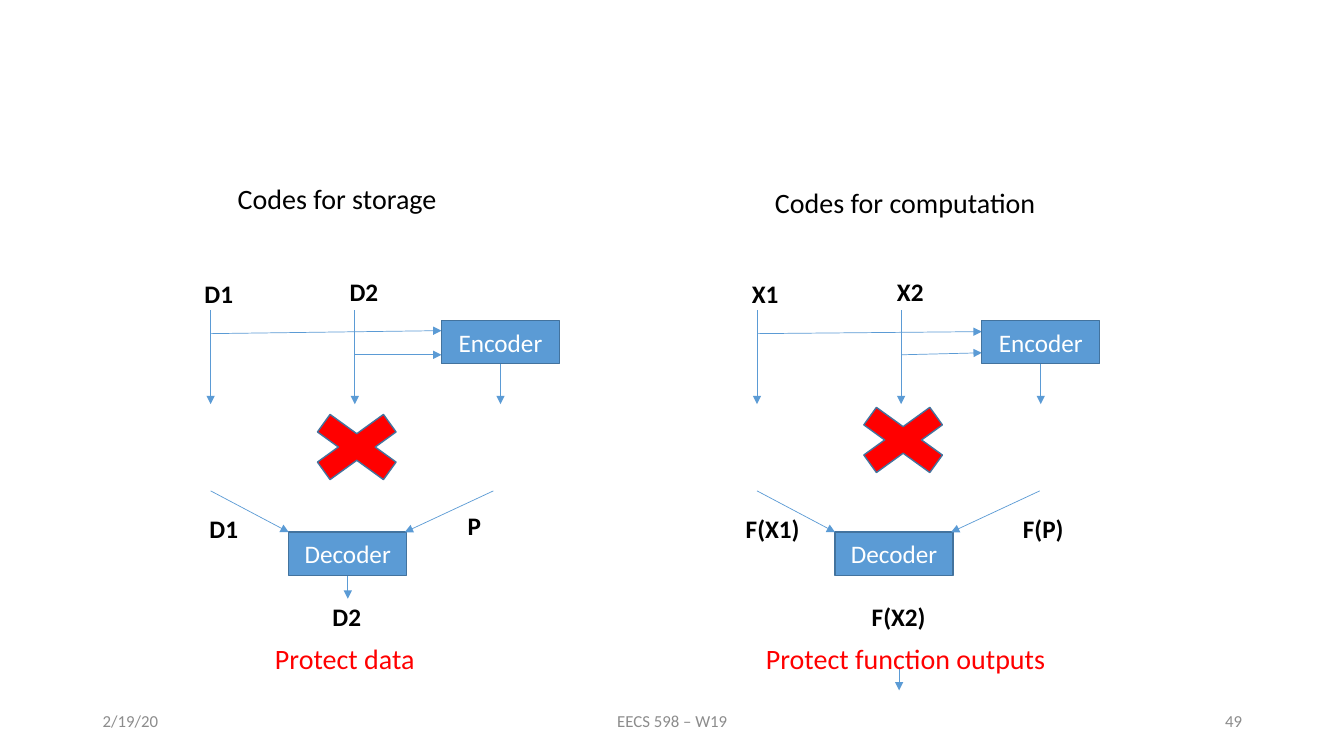
from dataclasses import dataclass

from lxml import etree
from pptx import Presentation
from pptx.dml.color import RGBColor
from pptx.enum.shapes import MSO_CONNECTOR, MSO_SHAPE
from pptx.enum.text import MSO_ANCHOR, PP_ALIGN
from pptx.oxml.ns import qn
from pptx.util import Inches, Pt

RECTANGLE, CROSS = MSO_SHAPE.RECTANGLE, MSO_SHAPE.MATH_MULTIPLY
STRAIGHT = MSO_CONNECTOR.STRAIGHT
TOP, MIDDLE = MSO_ANCHOR.TOP, MSO_ANCHOR.MIDDLE
LEFT, CENTER, RIGHT = PP_ALIGN.LEFT, PP_ALIGN.CENTER, PP_ALIGN.RIGHT

BLACK = RGBColor(0x00, 0x00, 0x00)
WHITE = RGBColor(0xFF, 0xFF, 0xFF)
RED = RGBColor(0xFF, 0x00, 0x00)
BLUE = RGBColor(0x5B, 0x9B, 0xD5)
DARK_BLUE = RGBColor(0x43, 0x73, 0x9E)
GRAY = RGBColor(0x8C, 0x8C, 0x8C)
FONT = "Calibri"

# The grid: square cells, ten to the inch
CELL = Inches(0.1)
COLUMNS, ROWS = 133.33, 75

# Rows and sizes shared by both diagrams
INPUT_ROW, OUTPUT_ROW = 30.8, 40.1
ENCODER_ROW, DECODER_ROW = 31.8, 52.8
BLOCK_WIDTH, BLOCK_HEIGHT = 11.7, 4.3
DECODER_COLUMN = 7.75
SECOND_INPUT = 14.3
FAN_IN_ROW, PARITY_COLUMN = 48.7, 28.05


@dataclass
class Diagram:
    """Columns count from the first input; pairs are (column, row)."""
    origin: float
    heading: str
    heading_at: tuple
    caption: str
    caption_column: float
    labels: dict
    encoder_column: float
    encoder_taps: tuple  # (column, start row, end row) of each input line
    cross_row: float
    result_arrow: tuple


STORAGE = Diagram(
    20.9, "Codes for storage", (1.7, 16), "Protect data", 5.4,
    {(-1.6, 27.1): "D1", (12.8, 26.9): "D2", (-1.1, 50.4): "D1",
     (24.5, 50.1): "P", (11.1, 59.2): "D2"},
    22.9, ((0, 33.1, 32.8), (SECOND_INPUT, 35.2, 35.2)), 39.8, (13.6, 57.1))
COMPUTATION = Diagram(
    75.1, "Codes for computation", (0.8, 16.4),
    "Protect function outputs", -0.1,
    {(-1.5, 27.1): "X1", (12.9, 26.9): "X2", (-2.1, 50.4): "F(X1)",
     (25.4, 50.4): "F(P)", (10.4, 59.2): "F(X2)"},
    22.3, ((0, 33.1, 32.9), (SECOND_INPUT, 35.2, 35)), 39.1, (14.1, 66.2))


def cells(*counts):
    return [round(count * CELL) for count in counts]


def write(frame, text, size, color, align, anchor, bold=False):
    frame.word_wrap = True
    frame.vertical_anchor = anchor
    para = frame.paragraphs[0]
    para.text = text
    para.alignment = align
    font = para.font
    font.name, font.size, font.bold = FONT, Pt(size), bold
    font.color.rgb = color
    return para


def add_text(page, area, text, size, color, align=LEFT, anchor=MIDDLE, bold=False):
    box = page.shapes.add_textbox(*cells(*area))
    return write(box.text_frame, text, size, color, align, anchor, bold)


def add_heading(page, column, row, text, color):
    para = add_text(page, (column, row, 35, 7.7), text, 20, color)
    para.line_spacing = 0.9


def add_solid(page, kind, area, fill):
    shape = page.shapes.add_shape(kind, *cells(*area))
    shape.shadow.inherit = False
    shape.fill.solid()
    shape.fill.fore_color.rgb = fill
    shape.line.color.rgb = DARK_BLUE
    shape.line.width = Pt(1)
    return shape


def add_block(page, column, row, text):
    block = add_solid(page, RECTANGLE, (column, row, BLOCK_WIDTH, BLOCK_HEIGHT), BLUE)
    write(block.text_frame, text, 18, WHITE, CENTER, MIDDLE)


def add_arrow(page, start, end):
    arrow = page.shapes.add_connector(STRAIGHT, *cells(*start, *end))
    arrow.line.color.rgb = BLUE
    arrow.line.width = Pt(0.5)
    line = arrow.line._get_or_add_ln()
    etree.SubElement(line, qn("a:tailEnd"), type="triangle")
    etree.SubElement(line.getparent(), qn("a:effectLst"))


def add_diagram(page, diagram):
    origin = diagram.origin
    encoder = origin + diagram.encoder_column
    decoder = origin + DECODER_COLUMN

    # Inputs, tapped by the encoder
    for column in (0, SECOND_INPUT):
        add_arrow(page, (origin + column, INPUT_ROW), (origin + column, OUTPUT_ROW))
    for column, start_row, end_row in diagram.encoder_taps:
        add_arrow(page, (origin + column, start_row), (encoder, end_row))
    add_block(page, encoder, ENCODER_ROW, "Encoder")
    parity = encoder + BLOCK_WIDTH / 2
    add_arrow(page, (parity, ENCODER_ROW + BLOCK_HEIGHT), (parity, OUTPUT_ROW))

    # Decoder with the two surviving values and its result
    add_block(page, decoder, DECODER_ROW, "Decoder")
    add_arrow(page, (origin, FAN_IN_ROW), (decoder, DECODER_ROW))
    add_arrow(page, (origin + PARITY_COLUMN, FAN_IN_ROW),
              (decoder + BLOCK_WIDTH - 0.2, DECODER_ROW))
    result_column, result_row = diagram.result_arrow
    result = origin + result_column
    add_arrow(page, (result, result_row), (result, result_row + 2.3))

    # Lost value
    add_solid(page, CROSS, (origin + 8.2, diagram.cross_row, 12.6, 9.1), RED)

    # Labels, heading and caption
    for (column, row), text in diagram.labels.items():
        add_text(page, (origin + column, row, 10.4, 4), text, 18, BLACK,
                 anchor=TOP, bold=True)
    column, row = diagram.heading_at
    add_heading(page, origin + column, row, diagram.heading, BLACK)
    add_heading(page, origin + diagram.caption_column, 61.7, diagram.caption, RED)


def add_footer(page):
    for column, width, text, align in ((9.2, 30, "2/19/20", LEFT),
                                       (44.2, 45, "EECS 598 – W19", CENTER),
                                       (94.2, 30, "49", RIGHT)):
        add_text(page, (column, 69.5, width, 4), text, 12, GRAY, align)


def main():
    deck = Presentation()
    deck.slide_width, deck.slide_height = cells(COLUMNS, ROWS)
    page = deck.slides.add_slide(deck.slide_layouts[6])
    for diagram in (STORAGE, COMPUTATION):
        add_diagram(page, diagram)
    add_footer(page)
    deck.save("out.pptx")


if __name__ == "__main__":
    main()
